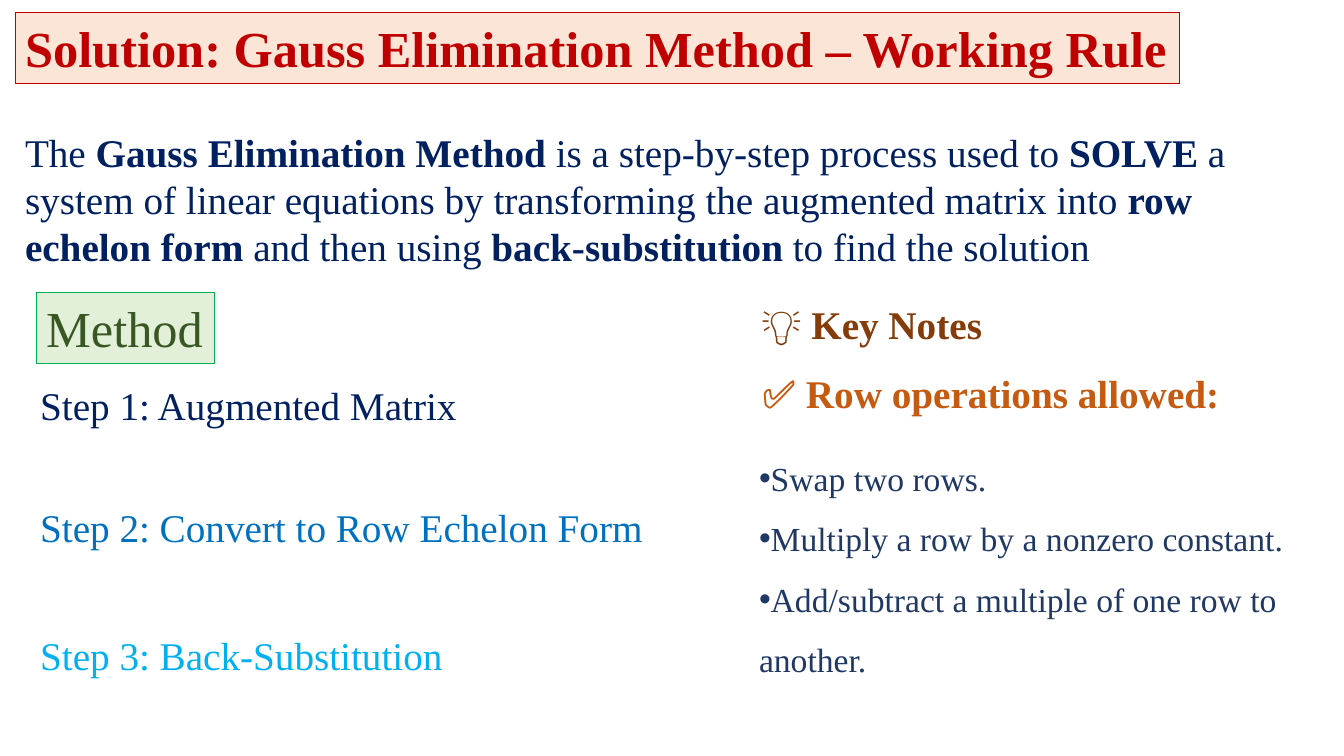
from lxml.etree import SubElement
from pptx import Presentation
from pptx.dml.color import RGBColor
from pptx.enum.shapes import MSO_SHAPE
from pptx.enum.text import MSO_ANCHOR, MSO_AUTO_SIZE, PP_ALIGN
from pptx.oxml.ns import qn
from pptx.util import Inches, Pt

FONT = "Times New Roman"

# Each run is (text, bold)
TITLE = [("Solution: Gauss Elimination Method – Working Rule", True)]
INTRODUCTION = [
    ("The ", False),
    ("Gauss Elimination Method", True),
    (" is a step-by-step process used to ", False),
    ("SOLVE", True),
    (" a system of linear equations by transforming the augmented matrix into ", False),
    ("row echelon form", True),
    (" and then using ", False),
    ("back-substitution", True),
    (" to find the solution", False),
]
METHOD = [("Method", False)]
# Each step is (text, colour, top, width)
STEPS = [
    ("Step 1: Augmented Matrix", "002060", 3.73, 6.7),
    ("Step 2: Convert to Row Echelon Form", "0070C0", 4.94, 7.13),
    ("Step 3: Back-Substitution", "00B0F0", 6.21, 6.7),
]
KEY_NOTES = [("💡 Key Notes", True)]
ALLOWED = [("✅ ", False), ("Row operations allowed:", True)]
ROW_OPERATIONS = [
    "Swap two rows.",
    "Multiply a row by a nonzero constant.",
    "Add/subtract a multiple of one row to another.",
]


def colour(hex_string):
    return RGBColor.from_string(hex_string)


def add_bullet(paragraph):
    """Put a bullet directly before the text, with no hanging indent."""
    properties = paragraph._p.get_or_add_pPr()
    properties.set("marL", "0")
    properties.set("indent", "0")
    SubElement(properties, qn("a:buFont")).set("typeface", "Arial")
    SubElement(properties, qn("a:buChar")).set("char", "•")


def write(shape, paragraphs, size, text_colour, bullets=False, wrap=True):
    """Fill a shape with paragraphs, each a list of (text, bold) runs."""
    frame = shape.text_frame
    frame.word_wrap = wrap
    frame.auto_size = MSO_AUTO_SIZE.SHAPE_TO_FIT_TEXT
    frame.vertical_anchor = MSO_ANCHOR.TOP
    for index, runs in enumerate(paragraphs):
        paragraph = frame.add_paragraph() if index else frame.paragraphs[0]
        paragraph.alignment = PP_ALIGN.LEFT
        if bullets:
            paragraph.line_spacing = 1.5
            add_bullet(paragraph)
        for text, bold in runs:
            run = paragraph.add_run()
            run.text = text
            run.font.name = FONT
            run.font.size = Pt(size)
            run.font.bold = bold
            run.font.color.rgb = colour(text_colour)


def add_text(slide, box, paragraphs, size, text_colour, bullets=False):
    shape = slide.shapes.add_textbox(*map(Inches, box))
    write(shape, paragraphs, size, text_colour, bullets)


def add_heading(slide, box, runs, text_colour, fill, line, wrap=True):
    shape = slide.shapes.add_shape(MSO_SHAPE.RECTANGLE, *map(Inches, box))
    shape.shadow.inherit = False
    shape.fill.solid()
    shape.fill.fore_color.rgb = colour(fill)
    shape.line.color.rgb = colour(line)
    shape.line.width = Pt(0.75)
    write(shape, [runs], 36, text_colour, wrap=wrap)


def main():
    presentation = Presentation()
    presentation.slide_width = Inches(13.33)
    presentation.slide_height = Inches(7.5)
    slide = presentation.slides.add_slide(presentation.slide_layouts[6])

    add_heading(slide, (0.15, 0.12, 11.55, 0.71), TITLE, "C00000", "FBE5D6", "C00000")
    add_text(slide, (0.15, 1.22, 12.86, 1.51), [INTRODUCTION], 28, "002060")

    add_heading(slide, (0.36, 2.9, 1.77, 0.71), METHOD, "385723", "E2F0D9", "00B050", wrap=False)
    for text, step_colour, top, width in STEPS:
        add_text(slide, (0.3, top, width, 0.57), [[(text, False)]], 28, step_colour)

    operations = [[(text, False)] for text in ROW_OPERATIONS]
    add_text(slide, (7.43, 4.29, 5.5, 2.45), operations, 24, "203864", bullets=True)
    add_text(slide, (7.45, 2.93, 3.23, 0.57), [KEY_NOTES], 28, "843C0B")
    add_text(slide, (7.46, 3.61, 4.97, 0.57), [ALLOWED], 28, "C55A11")

    presentation.save("out.pptx")


if __name__ == "__main__":
    main()
